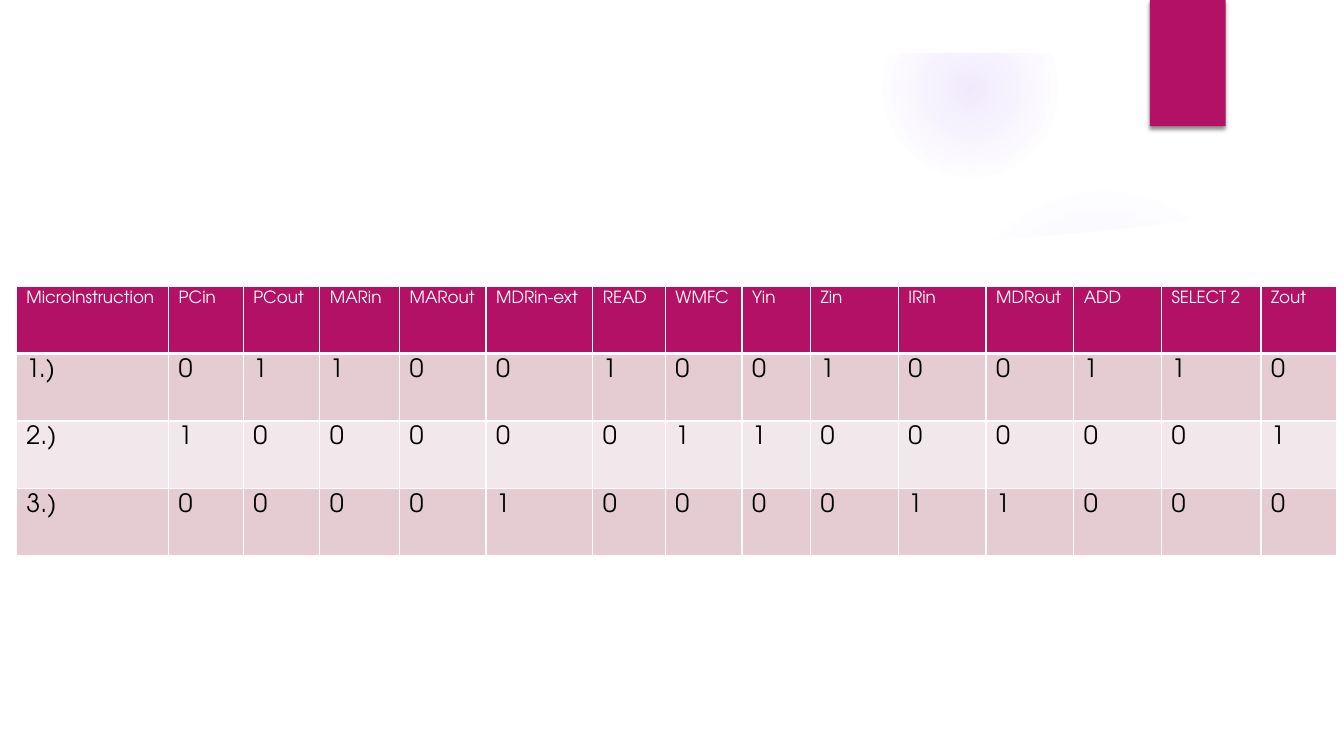
from dataclasses import dataclass

from lxml import etree
from pptx import Presentation
from pptx import util as u
from pptx.dml.color import RGBColor
from pptx.enum import shapes
from pptx.oxml import parse_xml
from pptx.oxml.ns import nsdecls, qn


@dataclass(frozen=True)
class Theme:
    accent: str = "B31166"
    glow: str = "9B6BF2"
    white: str = "FFFFFF"
    black: str = "000000"
    odd_row: str = "E5CCD3"
    even_row: str = "F2E7EA"
    font: str = "TeX Gyre Adventor"
    header_size: int = 12
    body_size: int = 18


@dataclass(frozen=True)
class Glow:
    left: float
    top: float
    size: float
    stops: tuple[tuple[int, int], ...]


@dataclass(frozen=True)
class Outline:
    points: tuple[tuple[float, float], ...]
    opacity: int = 100


@dataclass(frozen=True)
class Column:
    name: str
    width: float
    bits: str


THEME = Theme()

GLOWS = (
    Glow(23.9, 4.65, 7.82, ((0, 7), (36, 6), (69, 0))),
    Glow(22.23, 0.02, 4.45, ((0, 14), (36, 7), (73, 0))),
)

OUTLINES = (
    Outline(((23.72, 6.35), (28.96, 5.99), (32.74, 5.44), (32.59, 4.22),
             (29.92, 5.03), (27.31, 5.61), (23.62, 6.17)), 20),
    Outline(((1.27, 5.18), (1.27, 17.78), (32.61, 17.78), (32.61, 5.18),
             (29.77, 5.59), (27.64, 5.84), (24.79, 6.07), (21.34, 6.25),
             (17.32, 6.3), (10.19, 6.05), (4.75, 5.61))),
)

STEPS = ("1.)", "2.)", "3.)")
ROW_HEIGHT = 1.7
COLUMNS = (
    Column("PCin", 1.88, "010"),
    Column("PCout", 1.93, "100"),
    Column("MARin", 2.01, "100"),
    Column("MARout", 2.18, "000"),
    Column("MDRin-ext", 2.69, "001"),
    Column("READ", 1.83, "100"),
    Column("WMFC", 1.93, "010"),
    Column("Yin", 1.73, "010"),
    Column("Zin", 2.21, "100"),
    Column("IRin", 2.21, "001"),
    Column("MDRout", 2.21, "001"),
    Column("ADD", 2.21, "100"),
    Column("SELECT 2", 2.51, "100"),
    Column("Zout", 1.91, "010"),
)


def paint(sp, color: str) -> None:
    sp.fill.solid()
    sp.fill.fore_color.rgb = RGBColor.from_string(color)
    sp.line.fill.background()
    sp.shadow.inherit = False


def add_glow(s, glow: Glow) -> None:
    sp = s.shapes.add_shape(shapes.MSO_SHAPE.OVAL, u.Cm(glow.left), u.Cm(glow.top),
                            u.Cm(glow.size), u.Cm(glow.size))
    stops = "".join(
        f'<a:gs pos="{pos * 1000}"><a:srgbClr val="{THEME.glow}">'
        f'<a:alpha val="{alpha * 1000}"/></a:srgbClr></a:gs>'
        for pos, alpha in glow.stops)
    sp._element.spPr.append(parse_xml(
        f'<a:gradFill {nsdecls("a")}><a:gsLst>{stops}</a:gsLst><a:path path="circle">'
        '<a:fillToRect l="50000" t="50000" r="50000" b="50000"/></a:path></a:gradFill>'))
    sp.line.fill.background()
    sp.shadow.inherit = False


def add_outline(s, outline: Outline) -> None:
    start, *rest = [(u.Cm(x), u.Cm(y)) for x, y in outline.points]
    builder = s.shapes.build_freeform(*start)
    builder.add_line_segments(rest, close=True)
    sp = builder.convert_to_shape()
    paint(sp, THEME.white)
    if outline.opacity < 100:
        color = sp._element.spPr.find(qn("a:solidFill"))[0]
        etree.SubElement(color, qn("a:alpha"), val=str(outline.opacity * 1000))


def add_frame(s, prs) -> None:
    sp = s.shapes.add_shape(shapes.MSO_SHAPE.FRAME, 0, 0, prs.slide_width, prs.slide_height)
    sp.adjustments[0] = 0.07
    paint(sp, THEME.white)


def add_ribbon(s) -> None:
    sp = s.shapes.add_shape(shapes.MSO_SHAPE.RECTANGLE, u.Cm(28.98), 0, u.Cm(1.91), u.Cm(3.18))
    paint(sp, THEME.accent)
    effects = sp._element.spPr.find(qn("a:effectLst"))
    effects.append(parse_xml(
        f'<a:outerShdw {nsdecls("a")} blurRad="{u.Pt(3)}" dist="{u.Pt(2)}" dir="5400000" '
        f'rotWithShape="0"><a:srgbClr val="{THEME.black}"><a:alpha val="45000"/></a:srgbClr>'
        '</a:outerShdw>'))


def set_borders(cell, top: int, bottom: int) -> None:
    tc_pr = cell._tc.get_or_add_tcPr()
    for side, width in (("L", 1), ("R", 1), ("T", top), ("B", bottom)):
        tc_pr.append(parse_xml(
            f'<a:ln{side} {nsdecls("a")} w="{u.Pt(width)}"><a:solidFill>'
            f'<a:srgbClr val="{THEME.white}"/></a:solidFill></a:ln{side}>'))


def fill_cell(cell, value: str, row: int) -> None:
    header = row == 0
    set_borders(cell, 3 if row == 1 else 1, 3 if header else 1)
    cell.fill.solid()
    fill = THEME.accent if header else THEME.odd_row if row % 2 else THEME.even_row
    cell.fill.fore_color.rgb = RGBColor.from_string(fill)
    r = cell.text_frame.paragraphs[0].add_run()
    r.text = value
    r.font.name = THEME.font
    r.font.bold = False
    r.font.size = u.Pt(THEME.header_size if header else THEME.body_size)
    r.font.color.rgb = RGBColor.from_string(THEME.white if header else THEME.black)


def add_signal_table(s) -> None:
    widths = [3.84, *(c.width for c in COLUMNS)]
    rows = [("MicroInstruction", *(c.name for c in COLUMNS))]
    rows += [(step, *(c.bits[i] for c in COLUMNS)) for i, step in enumerate(STEPS)]
    table = s.shapes.add_table(len(rows), len(widths), u.Cm(0.41), u.Cm(7.21),
                               u.Cm(sum(widths)), u.Cm(ROW_HEIGHT * len(rows))).table
    for column, width in zip(table.columns, widths):
        column.width = u.Cm(width)
    for i, values in enumerate(rows):
        table.rows[i].height = u.Cm(ROW_HEIGHT)
        for j, value in enumerate(values):
            fill_cell(table.cell(i, j), value, i)


def main() -> None:
    prs = Presentation()
    prs.slide_width, prs.slide_height = u.Cm(33.87), u.Cm(19.05)
    s = prs.slides.add_slide(prs.slide_layouts[6])
    for glow in GLOWS:
        add_glow(s, glow)
    for outline in OUTLINES:
        add_outline(s, outline)
    add_frame(s, prs)
    add_ribbon(s)
    add_signal_table(s)
    prs.save("out.pptx")


if __name__ == "__main__":
    main()
